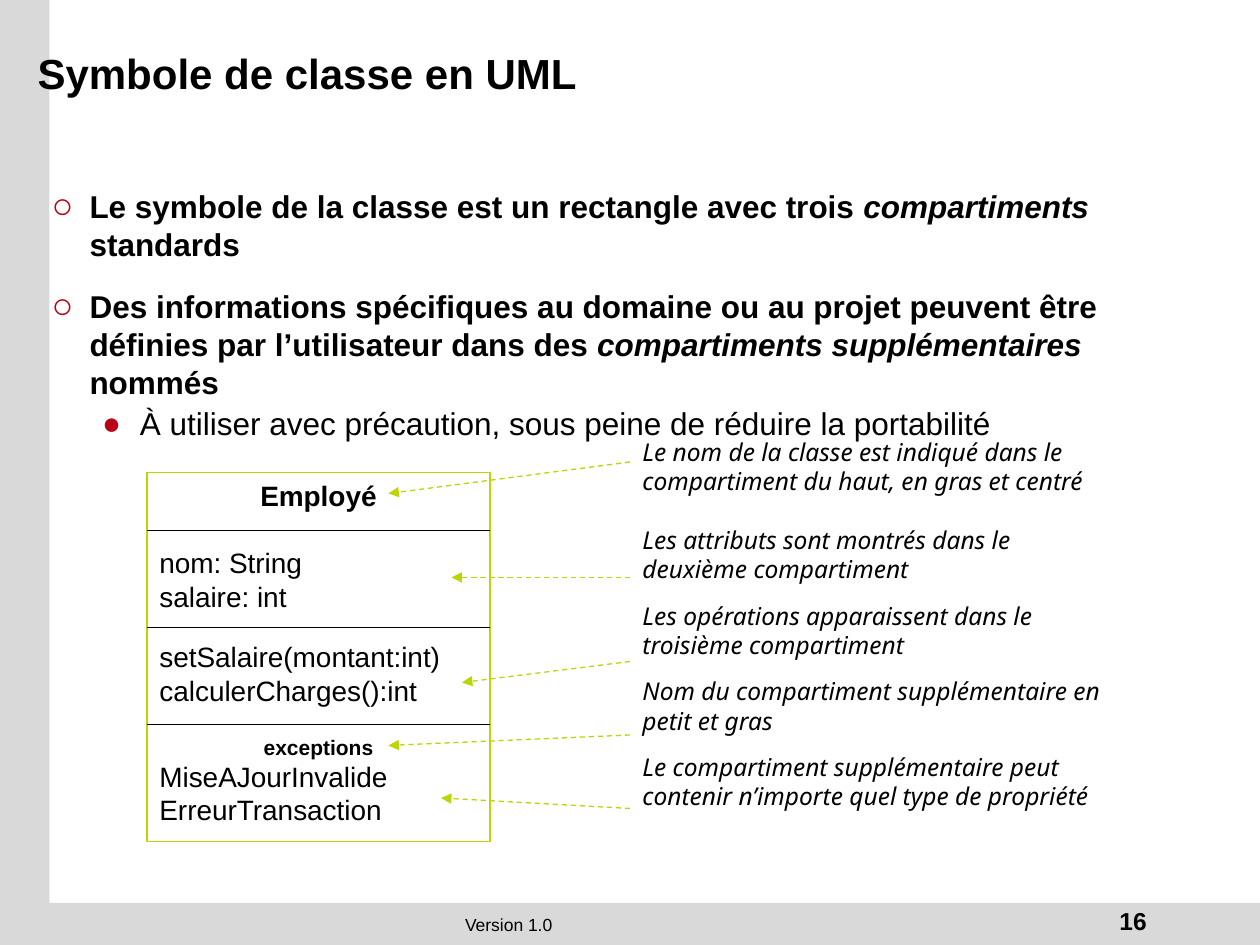
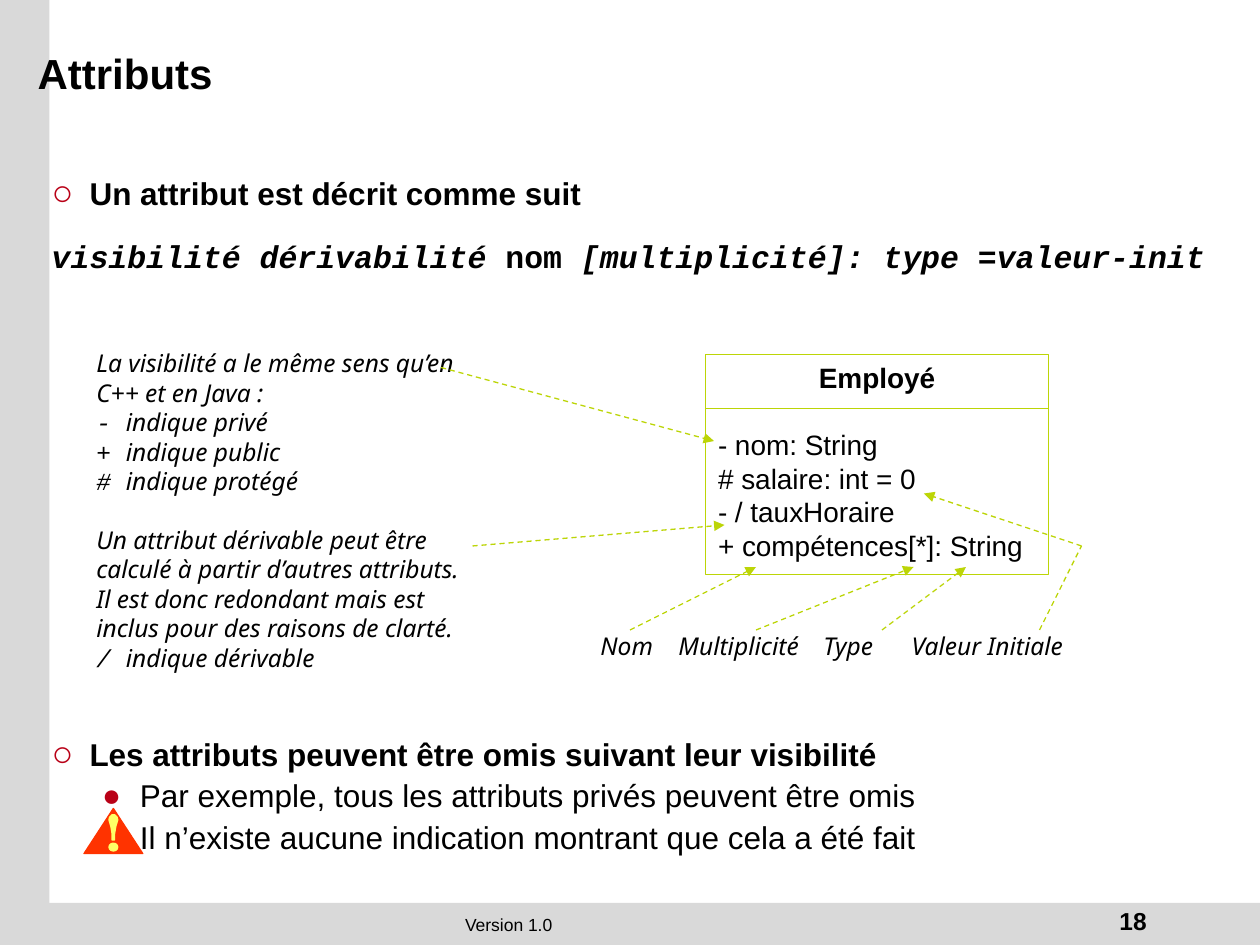
from dataclasses import dataclass
from typing import NamedTuple, Optional, Sequence

from lxml.etree import SubElement
from pptx import Presentation
from pptx.dml.color import RGBColor
from pptx.enum.dml import MSO_LINE
from pptx.enum.shapes import MSO_CONNECTOR, MSO_SHAPE
from pptx.enum.text import MSO_ANCHOR, PP_ALIGN
from pptx.oxml.ns import qn
from pptx.util import Emu, Inches, Pt

WIDTH, HEIGHT = Inches(10), Inches(7.5)
COLUMNS, ROWS = 120, 90
CELL = WIDTH // COLUMNS  # grid cells are square

COLORS = {
    "paper": "FFFFFF", "ink": "000000", "band": "D9D9D9", "bullet": "B90117",
    "uml": "BCD507", "alert": "FF3300", "alert_mark": "FFFF66",
}
SANS, MONO, NOTE = "Arial", "Courier New", "Noto Sans"


class Area(NamedTuple):
    """A rectangle in grid columns and rows."""
    column: float
    row: float
    columns: float
    rows: float


class Link(NamedTuple):
    """A line between two (column, row) points."""
    start: tuple[float, float]
    end: tuple[float, float]
    arrow: bool = True


class Run(NamedTuple):
    """A stretch of text that may differ from its paragraph."""
    text: str
    italic: Optional[bool] = None
    font: Optional[str] = None


class Bullet(NamedTuple):
    """Sign, relative size in percent and left margin in inches."""
    sign: str
    percent: int
    margin: float


RING, DOT = Bullet("○", 115, 0.3), Bullet("●", 100, 0.7)


@dataclass(frozen=True)
class Para:
    """One paragraph with its common style."""
    runs: str | tuple[Run, ...]
    size: float = 16
    bold: bool = False
    italic: bool = False
    font: str = SANS
    align: PP_ALIGN = PP_ALIGN.LEFT
    before: float = 0
    bullet: Optional[Bullet] = None
    tabs: tuple[float, ...] = ()


def cells(count: float) -> Emu:
    """Length of a number of grid cells."""
    return Emu(round(count * CELL))


def color(name: str) -> RGBColor:
    """Palette colour by name."""
    return RGBColor.from_string(COLORS[name])


def point(text: str | tuple[Run, ...], before: float = 14) -> Para:
    """Main bulleted statement."""
    return Para(text, 18, bold=True, before=before, bullet=RING)


def subpoint(text: str) -> Para:
    """Second-level bulleted statement."""
    return Para(text, 18, before=2, bullet=DOT)


def note(text: str | tuple[Run, ...], before: float = 0,
         tabs: tuple[float, ...] = ()) -> Para:
    """Italic explanation."""
    return Para(text, 14, italic=True, font=NOTE, before=before, tabs=tabs)


def symbol_note(symbol: str, meaning: str) -> Para:
    """Explanation of a UML sign, set in monospace."""
    return note((Run(symbol + " ", font=MONO), Run(meaning)))


def set_bullet(properties, bullet: Bullet) -> None:
    """Add a hanging bullet to paragraph properties."""
    properties.set("marL", str(Inches(bullet.margin)))
    properties.set("indent", str(-Inches(0.3)))
    tint = SubElement(properties, qn("a:buClr"))
    SubElement(tint, qn("a:srgbClr"), val=COLORS["bullet"])
    SubElement(properties, qn("a:buSzPct"), val=str(bullet.percent * 1000))
    SubElement(properties, qn("a:buFont"), typeface=SANS)
    SubElement(properties, qn("a:buChar"), char=bullet.sign)


def set_tabs(properties, stops: Sequence[float]) -> None:
    """Add left tab stops, given in inches."""
    tab_list = SubElement(properties, qn("a:tabLst"))
    for stop in stops:
        SubElement(tab_list, qn("a:tab"), pos=str(Inches(stop)), algn="l")


def write(frame, paras: Sequence[Para], anchor=MSO_ANCHOR.TOP) -> None:
    """Fill a text frame with paragraphs."""
    frame.word_wrap = True
    frame.vertical_anchor = anchor
    for index, para in enumerate(paras):
        paragraph = frame.add_paragraph() if index else frame.paragraphs[0]
        paragraph.alignment = para.align
        paragraph.space_before = Pt(para.before)
        properties = paragraph._p.get_or_add_pPr()
        if para.bullet:
            set_bullet(properties, para.bullet)
        if para.tabs:
            set_tabs(properties, para.tabs)
        font = paragraph.font
        font.size, font.bold, font.italic = Pt(para.size), para.bold, para.italic
        font.name = para.font
        font.color.rgb = color("ink")
        runs = (Run(para.runs),) if isinstance(para.runs, str) else para.runs
        for part in runs:
            run = paragraph.add_run()
            run.text = part.text
            if part.italic is not None:
                run.font.italic = part.italic
            if part.font:
                run.font.name = part.font


def add_text(slide, area: Area, *paras: Para, anchor=MSO_ANCHOR.TOP) -> None:
    """Place a text box on the grid."""
    write(slide.shapes.add_textbox(*map(cells, area)).text_frame, paras, anchor)


def paint(shape, fill: str, line: Optional[str] = None) -> None:
    """Give a shape a flat fill and an optional thin outline."""
    shape.shadow.inherit = False
    shape.fill.solid()
    shape.fill.fore_color.rgb = color(fill)
    if line:
        shape.line.color.rgb = color(line)
        shape.line.width = Pt(0.75)
    else:
        shape.line.fill.background()


def add_block(slide, preset, area: Area, fill: str, line: Optional[str] = None):
    """Place a preset shape on the grid."""
    block = slide.shapes.add_shape(preset, *map(cells, area))
    paint(block, fill, line)
    return block


def add_line(slide, link: Link, tint: str, dashed: bool = False):
    """Draw a thin line without shadow."""
    line = slide.shapes.add_connector(
        MSO_CONNECTOR.STRAIGHT, *map(cells, link.start + link.end))
    line.line.color.rgb = color(tint)
    line.line.width = Pt(0.75)
    if dashed:
        line.line.dash_style = MSO_LINE.DASH
    if dashed and link.arrow:
        SubElement(line.line._get_or_add_ln(), qn("a:tailEnd"), type="triangle")
    SubElement(line._element.spPr, qn("a:effectLst"))


def add_callouts(slide, links: Sequence[Link]) -> None:
    """Draw the dashed links from notes to class parts."""
    for link in links:
        add_line(slide, link, "uml", dashed=True)


def add_class(slide, area: Area, paras: Sequence[Para],
              dividers: Sequence[float], tint: str) -> None:
    """Draw a UML class with a divider at each given row."""
    box = add_block(slide, MSO_SHAPE.RECTANGLE, area, "paper", "uml")
    write(box.text_frame, paras)
    for row in dividers:
        ends = (area.column, row), (area.column + area.columns, row)
        add_line(slide, Link(*ends), tint)


def add_warning(slide, area: Area) -> None:
    """Draw a warning triangle with an exclamation mark."""
    add_block(slide, MSO_SHAPE.ISOSCELES_TRIANGLE, area, "alert", "alert")
    center = area.column + area.columns / 2
    half = [(0.12, 0.6), (0.36, 0.84), (0.42, 1.1), (0.24, 1.7),
            (0.12, 2.4), (0.12, 3)]
    outline = [(center + x, area.row + y) for x, y in half]
    outline += [(center - x, area.row + y) for x, y in reversed(half)]
    scaled = [(x * 100, y * 100) for x, y in outline]
    builder = slide.shapes.build_freeform(*scaled[0], scale=CELL / 100)
    builder.add_line_segments(scaled[1:], close=True)
    paint(builder.convert_to_shape(), "alert_mark", "alert_mark")
    add_block(slide, MSO_SHAPE.OVAL, Area(center - 0.42, area.row + 3.3, 0.84, 0.75),
              "alert_mark", "alert_mark")


def add_page(deck, title: str, number: int):
    """Start a slide with bands, footer and title."""
    slide = deck.slides.add_slide(deck.slide_layouts[6])
    for band in (Area(0, 0, 4.7, ROWS), Area(0, 86, COLUMNS, 4)):
        add_block(slide, MSO_SHAPE.RECTANGLE, band, "band")
    add_text(slide, Area(1.3, 86.5, 94.3, 3.3),
             Para("Version 1.0", 10, align=PP_ALIGN.CENTER))
    add_text(slide, Area(91.4, 85.7, 19, 4),
             Para(str(number), 14, bold=True, align=PP_ALIGN.RIGHT))
    add_text(slide, Area(2.4, 2.2, 102.2, 9.5), Para(title, 24, bold=True),
             anchor=MSO_ANCHOR.MIDDLE)
    return slide


CLASS_NAME = Para("Employé", bold=True, align=PP_ALIGN.CENTER)
CLASS_COLUMNS = 32.67
FULL_GAP, SHORT_GAP, NOTE_GAP = 19.2, 15.4, 9.6


def build_class_symbol(deck) -> None:
    """Slide on the class symbol and its compartments."""
    slide = add_page(deck, "Symbole de classe en UML", 16)
    add_text(
        slide, Area(3.75, 17.25, 112.8, 25.4),
        point((Run("Le symbole de la classe est un rectangle avec trois "),
               Run("compartiments", True), Run(" standards"))),
        point((Run("Des informations spécifiques au domaine ou au projet peuvent être "
                   "définies par l’utilisateur dans des "),
               Run("compartiments supplémentaires", True), Run(" nommés"))),
        subpoint("À utiliser avec précaution, sous peine de réduire la portabilité"))
    members = [
        CLASS_NAME,
        Para("nom: String", before=FULL_GAP), Para("salaire: int"),
        Para("setSalaire(montant:int)", before=SHORT_GAP), Para("calculerCharges():int"),
        Para("exceptions", 12, bold=True, align=PP_ALIGN.CENTER, before=SHORT_GAP),
        Para("MiseAJourInvalide"), Para("ErreurTransaction"),
    ]
    add_class(slide, Area(14, 45, CLASS_COLUMNS, 35.17), members,
              [50.5 + 9.25 * index for index in range(3)], "ink")
    add_text(
        slide, Area(60, 41, 46.9, 43),
        note("Le nom de la classe est indiqué dans le compartiment du haut, "
             "en gras et centré"),
        note("Les attributs sont montrés dans le deuxième compartiment", 16.8),
        note("Les opérations apparaissent dans le troisième compartiment", NOTE_GAP),
        note("Nom du compartiment supplémentaire en petit et gras", NOTE_GAP),
        note("Le compartiment supplémentaire peut contenir n’importe quel type "
             "de propriété", NOTE_GAP))
    targets = [(44, 37, 47), (55, 43, 55), (63, 44, 65), (70, 37, 71), (77, 42, 76)]
    add_callouts(slide, [Link((60, row), (column, end)) for row, column, end in targets])


def build_attributes(deck) -> None:
    """Slide on the notation of attributes."""
    slide = add_page(deck, "Attributs", 18)
    add_text(
        slide, Area(3.75, 16, 112.8, 70),
        point("Un attribut est décrit comme suit"),
        Para((Run("visibilité dérivabilité "), Run("nom", False),
              Run(" [multiplicité]: type =valeur-init")),
             18, bold=True, italic=True, font=MONO, before=14),
        point("Les attributs peuvent être omis suivant leur visibilité", before=263.2),
        subpoint("Par exemple, tous les attributs privés peuvent être omis"),
        subpoint("Il n’existe aucune indication montrant que cela a été fait"))
    add_text(slide, Area(56, 59.5, 55.2, 4.8),
             note("Nom\tMultiplicité\tType\tValeur Initiale", tabs=(0.62, 1.77, 2.47)))
    members = [
        CLASS_NAME,
        Para("- nom: String", before=FULL_GAP), Para("# salaire: int = 0"),
        Para("- / tauxHoraire"), Para("+ compétences[*]: String"),
    ]
    add_class(slide, Area(67.2, 33.75, CLASS_COLUMNS, 21), members, [38.9], "uml")
    add_text(
        slide, Area(8, 32.6, 37.7, 33.4),
        note("La visibilité a le même sens qu’en C++ et en Java :"),
        symbol_note("-", "indique privé"),
        symbol_note("+", "indique public"),
        symbol_note("#", "indique protégé"),
        note("Un attribut dérivable peut être calculé à partir d’autres attributs. "
             "Il est donc redondant mais est inclus pour des raisons de clarté.", 16.8),
        symbol_note("/", "indique dérivable"))
    add_callouts(slide, [
        Link((42, 35), (68, 42)), Link((45, 52), (69, 50)),
        Link((60, 60), (72, 54)), Link((72, 60), (87, 54)), Link((84, 60), (92, 54)),
        Link((99, 60), (103, 52), arrow=False), Link((103, 52), (88, 47)),
    ])
    add_warning(slide, Area(8, 77, 5.6, 4.3))


presentation = Presentation()
presentation.slide_width, presentation.slide_height = WIDTH, HEIGHT
build_class_symbol(presentation)
build_attributes(presentation)
presentation.save("out.pptx")
